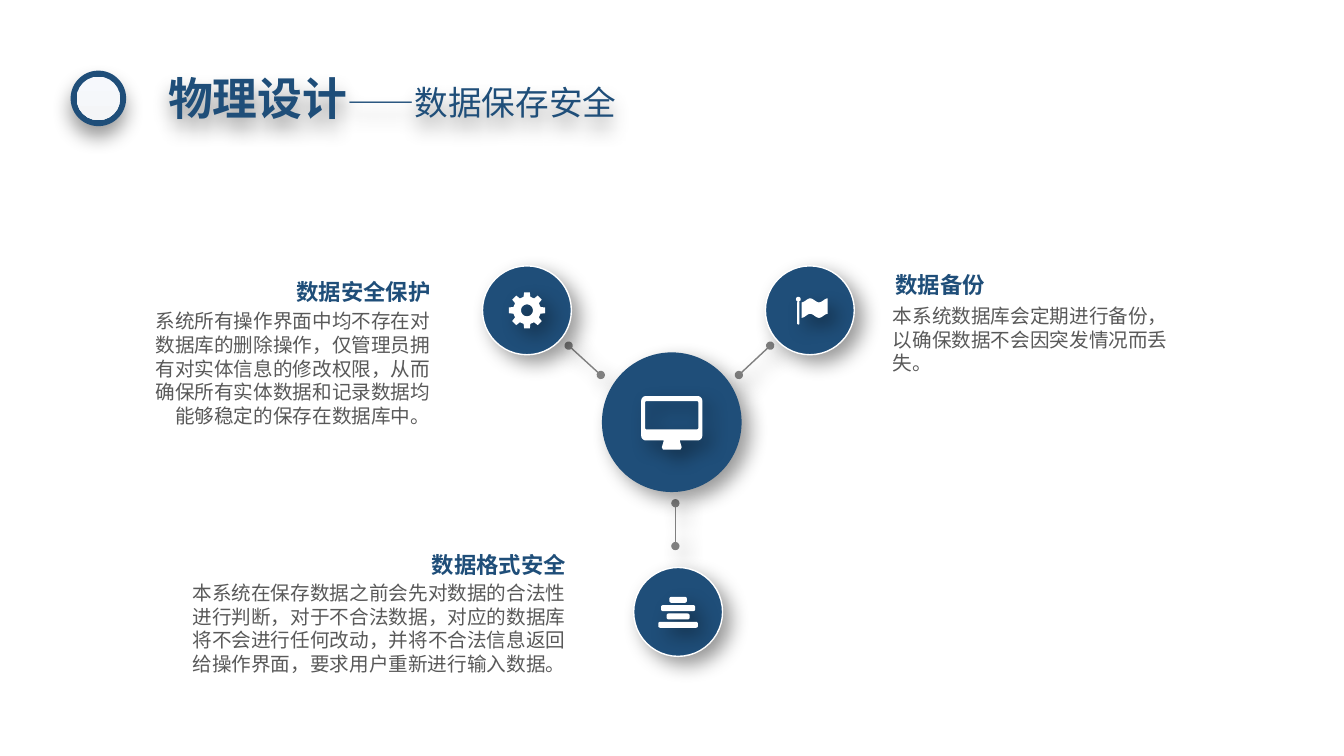
from math import cos, pi, sin

from lxml.etree import SubElement
from pptx import Presentation
from pptx.dml.color import RGBColor
from pptx.enum.shapes import MSO_CONNECTOR as CONN, MSO_SHAPE as SHAPE
from pptx.enum.text import MSO_ANCHOR as ANCHOR, PP_ALIGN as ALIGN
from pptx.oxml.ns import qn
from pptx.util import Cm, Pt

FONT = "Noto Sans CJK SC"
COLORS = {"navy": "1F4E79", "text": "595959", "line": "808080", "white": "FFFFFF",
          "pale_top": "F6F8FC", "pale_bottom": "F4F5F7"}

HUB = (16.93, 10.64)
GEAR, FLAG, BARS = (13.28, 7.82), (20.41, 7.82), (17.09, 15.42)
LINKS = [((18.62, 9.45), (19.41, 8.71)),
         ((17.02, 12.68), (17.02, 13.76)),
         ((15.14, 9.45), (14.33, 8.71))]
# heading, its box, body text, its box, alignment of the body
NOTES = [
    ("数据备份", (22.28, 6.71, 2.79, 0.94),
     "本系统数据库会定期进行备份，以确保数据不会因突发情况而丢失。",
     (22.25, 7.52, 7.49, 2.06), ALIGN.LEFT),
    ("数据安全保护", (7.16, 6.88, 3.94, 0.94),
     "系统所有操作界面中均不存在对数据库的删除操作，仅管理员拥有对实体信息的修改权限，"
     "从而确保所有实体数据和记录数据均能够稳定的保存在数据库中。",
     (3.35, 7.65, 7.75, 3.25), ALIGN.RIGHT),
    ("数据格式安全", (10.57, 13.77, 3.94, 0.94),
     "本系统在保存数据之前会先对数据的合法性进行判断，对于不合法数据，对应的数据库"
     "将不会进行任何改动，并将不合法信息返回给操作界面，要求用户重新进行输入数据。",
     (4.32, 14.5, 10.19, 2.64), ALIGN.RIGHT),
]


def rgb(name):
    return RGBColor.from_string(COLORS[name])


def add_shadow(shape, angle=45):
    effects = SubElement(shape._element.spPr, qn("a:effectLst"))
    shadow = SubElement(effects, qn("a:outerShdw"), blurRad=str(Pt(14)), dist=str(Pt(8)),
                        dir=str(angle * 60000), algn="tl", rotWithShape="0")
    color = SubElement(shadow, qn("a:srgbClr"), val="000000")
    SubElement(color, qn("a:alpha"), val="40000")


def set_font(font, size, color, bold=False):
    """Format a font, with the same face for Latin and East Asian text."""
    font.name, font.size, font.bold = FONT, Pt(size), bold
    font.color.rgb = rgb(color)
    SubElement(font._element, qn("a:ea"), typeface=FONT)


def add_title(s):
    title = s.shapes.title
    title.left, title.top, title.width, title.height = Cm(3.66), Cm(1.63), Cm(12.45), Cm(1.63)
    tf = title.text_frame
    tf.vertical_anchor = ANCHOR.TOP
    p = tf.paragraphs[0]
    p.alignment, p.line_spacing = ALIGN.CENTER, Pt(39)
    for text, size, bold in (("物理设计", 32, True), ("——数据保存安全", 24, False)):
        r = p.add_run()
        r.text = text
        set_font(r.font, size, "navy", bold)
    add_shadow(title, 90)


def add_text(s, box, text, size, color, align, bold=False, wrap=True):
    tf = s.shapes.add_textbox(*map(Cm, box)).text_frame
    tf.word_wrap = wrap
    p = tf.paragraphs[0]
    p.text, p.alignment, p.line_spacing = text, align, Pt(round(size * 1.21))
    set_font(p.font, size, color, bold)


def add_disc(s, center, radius, outline=None):
    x, y = center
    disc = s.shapes.add_shape(SHAPE.OVAL, Cm(x - radius), Cm(y - radius),
                              Cm(2 * radius), Cm(2 * radius))
    disc.shadow.inherit = False
    disc.fill.solid()
    disc.fill.fore_color.rgb = rgb("navy")
    if outline:
        disc.line.color.rgb = rgb(outline)
        disc.line.width = Pt(1)
    else:
        disc.line.fill.background()
    return disc


def add_shadowed_disc(s, center, radius, outline=None, angle=45):
    disc = add_disc(s, center, radius, outline)
    disc._element.spPr.remove(disc._element.spPr.find(qn("a:effectLst")))
    add_shadow(disc, angle)


def add_title_ring(s):
    center = (2.48, 2.48)
    add_shadowed_disc(s, center, 0.7, angle=90)
    fill = add_disc(s, center, 0.55).fill
    fill.gradient()
    fill.gradient_angle = 270
    for stop, color in zip(fill.gradient_stops, ("pale_top", "pale_bottom")):
        stop.color.rgb = rgb(color)


def add_link(s, start, end):
    """Draw a line with a dot at each end."""
    link = s.shapes.add_connector(CONN.STRAIGHT, *map(Cm, start + end))
    link.line.color.rgb = rgb("line")
    link.line.width = Pt(1)
    for tag in ("a:headEnd", "a:tailEnd"):
        SubElement(link.line._get_or_add_ln(), qn(tag), type="oval")
    add_shadow(link)


def add_icon(s, center, contours):
    """Draw one white shape from contours given in cm around its center."""
    x, y = center
    pts = [[(Cm(x + dx), Cm(y + dy)) for dx, dy in c] for c in contours]
    builder = s.shapes.build_freeform(*pts[0][0])
    for i, contour in enumerate(pts):
        if i:
            builder.move_to(*contour[0])
        builder.add_line_segments(contour[1:], close=True)
    icon = builder.convert_to_shape()
    icon.fill.solid()
    icon.fill.fore_color.rgb = rgb("white")
    icon.line.fill.background()
    add_shadow(icon)


def arc(x, y, r, start=0, sweep=360, steps=24):
    angles = [(start + sweep * i / steps) * pi / 180 for i in range(steps + 1)]
    return [(x + r * cos(a), y + r * sin(a)) for a in angles]


def rounded(x0, y0, x1, y1, r):
    corners = [(x1 - r, y1 - r), (x0 + r, y1 - r), (x0 + r, y0 + r), (x1 - r, y0 + r)]
    return [pt for i, (x, y) in enumerate(corners) for pt in arc(x, y, r, 90 * i, 90, 6)]


def gear():
    profile = [(-14, 0.35), (-9, 0.46), (9, 0.46), (14, 0.35)]
    teeth = [(r * cos(a), r * sin(a)) for i in range(8) for d, r in profile
             for a in [(45 * i + d) * pi / 180]]
    return [teeth, arc(0, 0, 0.15)]


def flag():
    steps = [i / 24 for i in range(25)]
    top = [(-0.21 + 0.66 * t, -0.25 + 0.05 * cos(3 * pi * t)) for t in steps]
    bottom = [(x, y + 0.39) for x, y in reversed(top)]
    return [top + bottom, arc(-0.29, -0.28, 0.06), rounded(-0.32, -0.22, -0.26, 0.36, 0.03)]


def bars():
    return [rounded(-w, -0.38 + 0.21 * i, w, -0.23 + 0.21 * i, 0.05)
            for i, w in enumerate((0.22, 0.43, 0.29, 0.5))]


def monitor():
    stand = [(-0.2, 0.46), (0.2, 0.46), (0.25, 0.63), (0.22, 0.69), (-0.22, 0.69), (-0.25, 0.63)]
    return [rounded(-0.77, -0.66, 0.77, 0.46, 0.12),
            rounded(-0.67, -0.53, 0.67, 0.18, 0.03), stand]


def main():
    prs = Presentation()
    prs.slide_width, prs.slide_height = Cm(33.87), Cm(19.05)
    s = prs.slides.add_slide(prs.slide_layouts[5])
    add_title_ring(s)
    add_title(s)
    for start, end in LINKS:
        add_link(s, start, end)
    add_shadowed_disc(s, HUB, 1.76)
    add_icon(s, HUB, monitor())
    for center, contours in ((GEAR, gear()), (FLAG, flag()), (BARS, bars())):
        add_shadowed_disc(s, center, 1.12, "white")
        add_icon(s, center, contours)
    for heading, heading_box, body, body_box, align in NOTES:
        add_text(s, heading_box, heading, 16, "navy", ALIGN.RIGHT, bold=True, wrap=False)
        add_text(s, body_box, body, 14, "text", align)
    prs.save("out.pptx")


if __name__ == "__main__":
    main()
